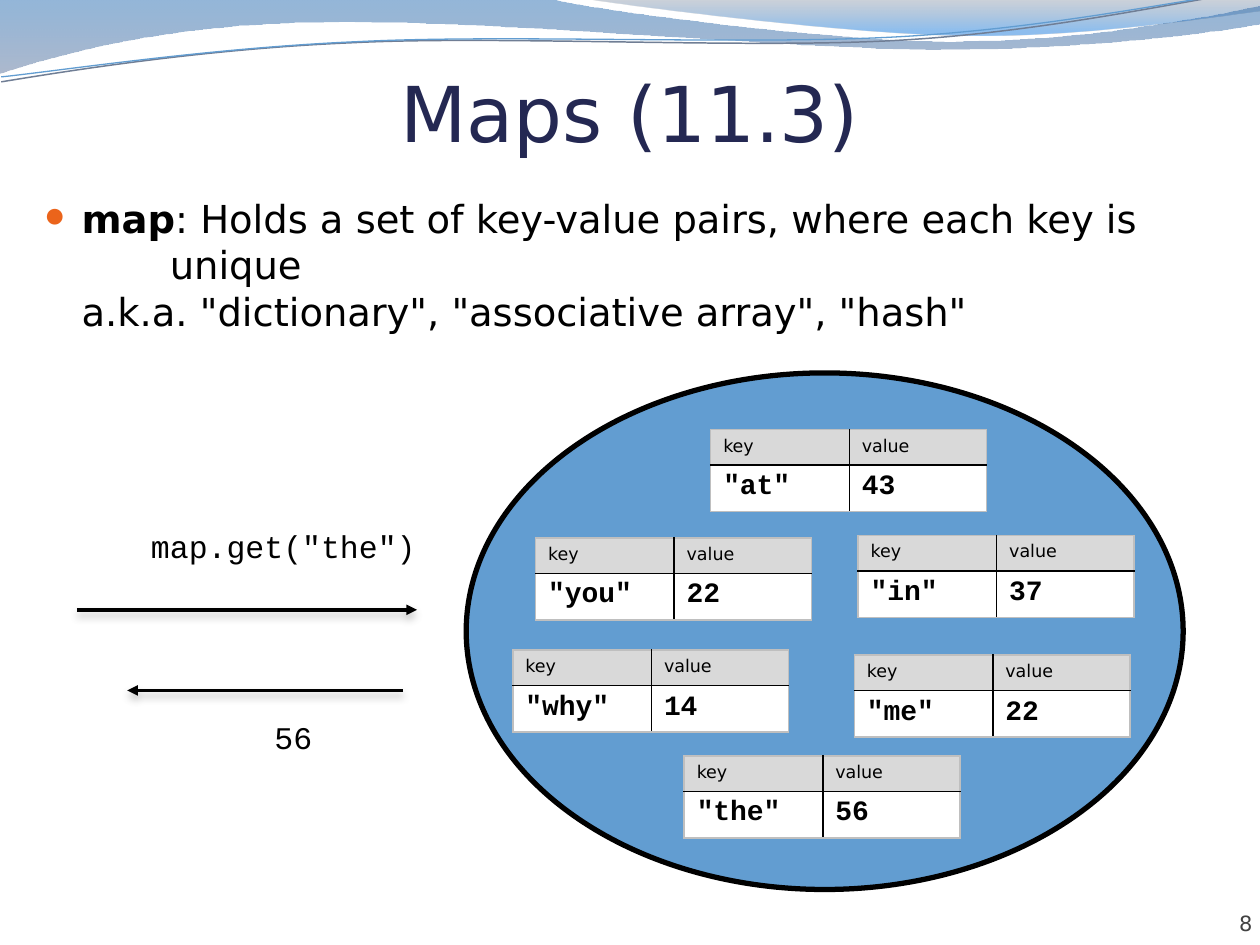
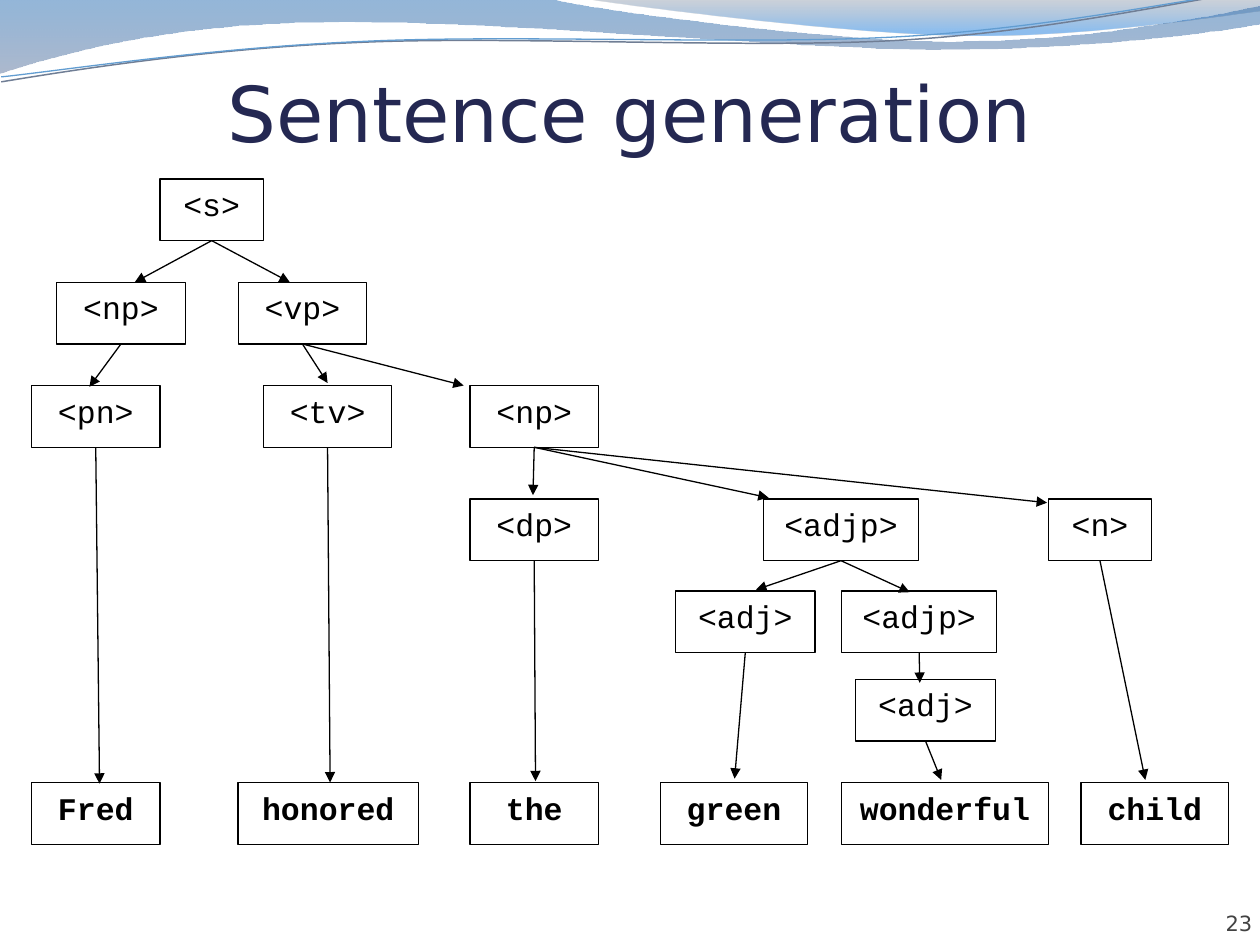
from lxml.etree import SubElement
from pptx import Presentation
from pptx.dml.color import RGBColor
from pptx.enum.shapes import MSO_CONNECTOR, MSO_SHAPE
from pptx.enum.text import MSO_ANCHOR, PP_ALIGN
from pptx.oxml.ns import qn
from pptx.util import Inches, Pt

BLACK = RGBColor(0, 0, 0)
WHITE = RGBColor(255, 255, 255)
NAVY = RGBColor(0x24, 0x28, 0x52)
BLUE = RGBColor(0x62, 0x9D, 0xD1)
SLATE = RGBColor(0x70, 0x7E, 0x95)
GRAY = RGBColor(0x42, 0x42, 0x42)
HEADER = RGBColor(0xD9, 0xD9, 0xD9)
EDGE = RGBColor(0xBF, 0xBF, 0xBF)
ORANGE = RGBColor(0xEB, 0x64, 0x1B)
WIDE_TOP, WIDE_END = RGBColor(0x12, 0x5E, 0xAA), RGBColor(0x69, 0x7F, 0xA4)
RIGHT_TOP, RIGHT_END = RGBColor(0x59, 0x69, 0x82), RGBColor(0x06, 0x70, 0xDA)
SANS, MONO = "DejaVu Sans", "Courier New"

WIDE_WAVE = [(0, 0), (4.4, 0), (4.76, .09, 6.64, .33, 7.58, .33),
             (8.53, .33, 9.58, .14, 10, .05), (10.01, .19),
             (9.83, .23, 8.7, .39, 7.46, .39), (6.22, .39, 3.82, .15, 2.57, .18),
             (1.29, .19, .46, .43, -.01, .58)]
RIGHT_WAVE = [(4.67, 0), (4.98, .05, 6.74, .27, 7.63, .28),
              (8.52, .3, 9.61, .14, 10, .09), (10, 0)]
SLATE_CURVE = [(.01, .65), (.5, .57, 1.6, .39, 2.79, .34),
               (3.98, .28, 5.93, .39, 7.14, .32), (8.34, .25, 9.41, 0, 10, -.08)]
BLUE_CURVE = [(.01, .61), (.49, .56, 1.66, .38, 2.85, .33),
              (4.04, .27, 5.97, .36, 7.16, .29), (8.36, .22, 9.41, -.01, 10, -.08)]

PAIRS = [("the", 56, 5.43, 6), ("why", 14, 4.07, 5.16), ("you", 22, 4.25, 4.27),
         ("me", 22, 6.78, 5.2), ("in", 37, 6.81, 4.25), ("at", 43, 5.64, 3.41)]

ROW_TOPS = [1.42, 2.24, 3.06, 3.96, 4.69, 5.39, 6.21]
NODE_HEIGHT = .49
NODES = {
    "s": ("<s>", 0, 1.27, .82), "subject": ("<np>", 1, .45, 1.02),
    "vp": ("<vp>", 1, 1.89, 1.02), "pn": ("<pn>", 2, .25, 1.02),
    "tv": ("<tv>", 2, 2.09, 1.02), "object": ("<np>", 2, 3.73, 1.02),
    "dp": ("<dp>", 3, 3.73, 1.02), "adjp": ("<adjp>", 3, 6.06, 1.23),
    "n": ("<n>", 3, 8.32, .82), "adj": ("<adj>", 4, 5.36, 1.11),
    "adjp2": ("<adjp>", 4, 6.68, 1.23), "adj2": ("<adj>", 5, 6.79, 1.11),
    "Fred": ("Fred", 6, .25, 1.02), "honored": ("honored", 6, 1.89, 1.43),
    "the": ("the", 6, 3.73, 1.02), "green": ("green", 6, 5.24, 1.17),
    "wonderful": ("wonderful", 6, 6.68, 1.64), "child": ("child", 6, 8.58, 1.17),
}
BRANCHES = [("s", 1.07, 2.24), ("s", 2.3, 2.24), ("subject", .71, 3.07),
            ("vp", 2.6, 3.04), ("vp", 3.68, 3.06), ("pn", .79, 6.22),
            ("tv", 2.62, 6.21), ("object", 4.23, 3.93), ("object", 6.1, 3.95),
            ("object", 8.31, 3.99), ("dp", 4.25, 6.2), ("adjp", 6, 4.68),
            ("adjp", 7.22, 4.7), ("adjp2", 7.3, 5.42), ("adj", 5.83, 6.18),
            ("adj2", 7.47, 6.19), ("n", 9.09, 6.19)]


def write(p, text, size=18, font=MONO, color=BLACK, bold=False):
    """Add a formatted run to a paragraph."""
    r = p.add_run()
    r.text = text
    r.font.size, r.font.name, r.font.bold = Pt(size), font, bold
    r.font.color.rgb = color


def add_text(s, box, text, align=PP_ALIGN.LEFT, anchor=MSO_ANCHOR.TOP,
             insets=(.1, .05, .1, .05), wrap=True, **style):
    """Add a text box holding one run."""
    tf = s.shapes.add_textbox(*map(Inches, box)).text_frame
    tf.word_wrap, tf.vertical_anchor = wrap, anchor
    tf.margin_left, tf.margin_top, tf.margin_right, tf.margin_bottom = map(Inches, insets)
    tf.paragraphs[0].alignment = align
    write(tf.paragraphs[0], text, **style)


def add_outlined(s, kind, box, fill, width):
    """Add a filled preset shape with a black outline."""
    sp = s.shapes.add_shape(kind, *map(Inches, box))
    sp.shadow.inherit = False
    sp.fill.solid()
    sp.fill.fore_color.rgb = fill
    sp.line.color.rgb, sp.line.width = BLACK, Pt(width)
    return sp


def add_arrow(s, start, end, width=.75, shadow=False):
    """Add a black arrow, with a soft shadow on request."""
    c = s.shapes.add_connector(MSO_CONNECTOR.STRAIGHT, *map(Inches, (*start, *end)))
    c.line.color.rgb, c.line.width = BLACK, Pt(width)
    SubElement(c.line._get_or_add_ln(), qn("a:tailEnd"), type="triangle")
    effects = SubElement(c._element.spPr, qn("a:effectLst"))
    if shadow:
        outer = SubElement(effects, qn("a:outerShdw"), blurRad=str(Pt(4.5)),
                           dist=str(Pt(3)), dir="5400000", rotWithShape="0")
        gray = SubElement(outer, qn("a:srgbClr"), val="808080")
        SubElement(gray, qn("a:alpha"), val="48000")


def add_outline(s, steps, close):
    """Add a freeform of lines (two numbers) and cubic curves (six numbers)."""
    points = [(Inches(x), Inches(y)) for step in steps
              for x, y in zip(step[::2], step[1::2])]
    builder = s.shapes.build_freeform(*points[0])
    builder.add_line_segments(points[1:], close=close)
    sp = builder.convert_to_shape()
    sp.shadow.inherit = False
    segments = list(sp._element.spPr.iter(qn("a:lnTo")))
    for step in steps[1:]:
        used, segments = segments[:len(step) // 2], segments[len(step) // 2:]
        if len(used) == 3:
            curve = used[0].makeelement(qn("a:cubicBezTo"), {})
            used[0].addprevious(curve)
            for segment in used:
                curve.append(segment[0])
                segment.getparent().remove(segment)
    return sp


def add_wave(s, steps, stops):
    """Add a wave with a translucent vertical gradient."""
    sp = add_outline(s, steps, True)
    sp.line.fill.background()
    sp.fill.gradient()
    sp.fill.gradient_angle = 270
    for stop, (position, color, _) in zip(sp.fill.gradient_stops, stops):
        stop.position, stop.color.rgb = position, color
    for clr, (_, _, alpha) in zip(sp._element.spPr.iter(qn("a:srgbClr")), stops):
        SubElement(clr, qn("a:alpha"), val=str(alpha * 1000))


def add_curve(s, steps, color, width):
    """Add a thin open curve."""
    sp = add_outline(s, steps, False)
    sp.fill.background()
    sp.line.color.rgb, sp.line.width = color, Pt(width)


def new_slide(prs, title, number):
    """Add a slide with the waves, title and page number."""
    s = prs.slides.add_slide(prs.slide_layouts[6])
    add_wave(s, WIDE_WAVE, [(0, WIDE_TOP, 45), (1, WIDE_END, 55)])
    add_wave(s, RIGHT_WAVE, [(0, RIGHT_TOP, 30), (.8, RIGHT_END, 45)])
    add_curve(s, SLATE_CURVE, SLATE, .85)
    add_curve(s, BLUE_CURVE, BLUE, .75)
    add_text(s, (9.11, 7.03, .83, .4), str(number), PP_ALIGN.RIGHT, MSO_ANCHOR.BOTTOM,
             (0, 0, 0, 0), size=12, font=SANS, color=GRAY)
    add_text(s, (.5, .48, 9, .77), title, PP_ALIGN.CENTER, MSO_ANCHOR.BOTTOM,
             (0, .05, 0, 0), size=44, font=SANS, color=NAVY)
    return s


def add_definition(s, box):
    """Add the bulleted definition of a map."""
    tf = s.shapes.add_textbox(*map(Inches, box)).text_frame
    tf.word_wrap = True
    p = tf.paragraphs[0]
    pPr = p._p.get_or_add_pPr()
    pPr.set("marL", str(Inches(.3)))
    pPr.set("indent", str(Inches(-.3)))
    SubElement(SubElement(pPr, qn("a:buClr")), qn("a:srgbClr"), val=str(ORANGE))
    SubElement(pPr, qn("a:buSzPct"), val="95000")
    SubElement(pPr, qn("a:buFont"), typeface=MONO)
    SubElement(pPr, qn("a:buChar"), char="●")
    SubElement(SubElement(pPr, qn("a:tabLst")), qn("a:tab"), pos=str(Inches(1)), algn="l")
    write(p, "map", 22, SANS, bold=True)
    write(p, ": Holds a set of key-value pairs, where each key is ", 22, SANS)
    for line in ("\tunique", 'a.k.a. "dictionary", "associative array", "hash"'):
        p.add_line_break()
        write(p, line, 22, SANS)


def set_borders(cell, row, col):
    """Draw black inner borders and pale outer ones."""
    tcPr = cell._tc.get_or_add_tcPr()
    inner = {"lnL": col == 1, "lnR": col == 0, "lnT": row == 1, "lnB": row == 0}
    for i, (side, is_inner) in enumerate(inner.items()):
        ln = tcPr.makeelement(qn("a:" + side), {"w": str(Pt(1))})
        fill = SubElement(ln, qn("a:solidFill"))
        SubElement(fill, qn("a:srgbClr"), val=str(BLACK if is_inner else EDGE))
        tcPr.insert(i, ln)


def add_pair(s, key, value, left, top):
    """Add a small table for one key-value pair."""
    table = s.shapes.add_table(2, 2, *map(Inches, (left, top, 2.19, .65))).table
    table.first_row = table.horz_banding = False
    for column, width in zip(table.columns, (1.1, 1.09)):
        column.width = Inches(width)
    for row, height in zip(table.rows, (.28, .37)):
        row.height = Inches(height)
    rows = [(("key", "value"), HEADER, dict(size=10, font=SANS)),
            ((f'"{key}"', str(value)), WHITE, dict(size=16, bold=True))]
    for i, (texts, fill, style) in enumerate(rows):
        for j, text in enumerate(texts):
            cell = table.cell(i, j)
            cell.fill.solid()
            cell.fill.fore_color.rgb = fill
            write(cell.text_frame.paragraphs[0], text, **style)
            set_borders(cell, i, j)


def add_lookup(s, left, top):
    """Add the call arrow and the returned value."""
    add_arrow(s, (left, top + .71), (left + 2.7, top + .71), 2, shadow=True)
    add_text(s, (left + .49, top, 2.6, .4), 'map.get("the")', wrap=False)
    add_arrow(s, (left + 2.59, top + 1.35), (left + .4, top + 1.35), 2, shadow=True)
    add_text(s, (left + 1.47, top + 1.52, .57, .4), "56", wrap=False)


def maps_slide(prs):
    """Build the slide on maps."""
    s = new_slide(prs, "Maps (11.3)", 8)
    add_definition(s, (.25, 1.5, 9.75, 5.67))
    add_lookup(s, .61, 4.13)
    add_outlined(s, MSO_SHAPE.OVAL, (3.7, 2.96, 5.69, 4.1), BLUE, 3)
    for pair in PAIRS:
        add_pair(s, *pair)


def add_node(s, text, row, left, width):
    """Add one box of the parse tree; words on the last row are bold."""
    sp = add_outlined(s, MSO_SHAPE.RECTANGLE,
                      (left, ROW_TOPS[row], width, NODE_HEIGHT), WHITE, .75)
    tf = sp.text_frame
    tf.vertical_anchor = MSO_ANCHOR.TOP
    tf.paragraphs[0].alignment = PP_ALIGN.CENTER
    write(tf.paragraphs[0], text, bold=row == len(ROW_TOPS) - 1)


def sentence_slide(prs):
    """Build the slide with the parse tree."""
    s = new_slide(prs, "Sentence generation", 23)
    for node in NODES.values():
        add_node(s, *node)
    for parent, *head in BRANCHES:
        _, row, left, width = NODES[parent]
        add_arrow(s, (left + width / 2, ROW_TOPS[row] + NODE_HEIGHT), head)


def main():
    """Build and save the presentation."""
    prs = Presentation()
    prs.slide_width, prs.slide_height = Inches(10), Inches(7.5)
    maps_slide(prs)
    sentence_slide(prs)
    prs.save("out.pptx")


if __name__ == "__main__":
    main()
